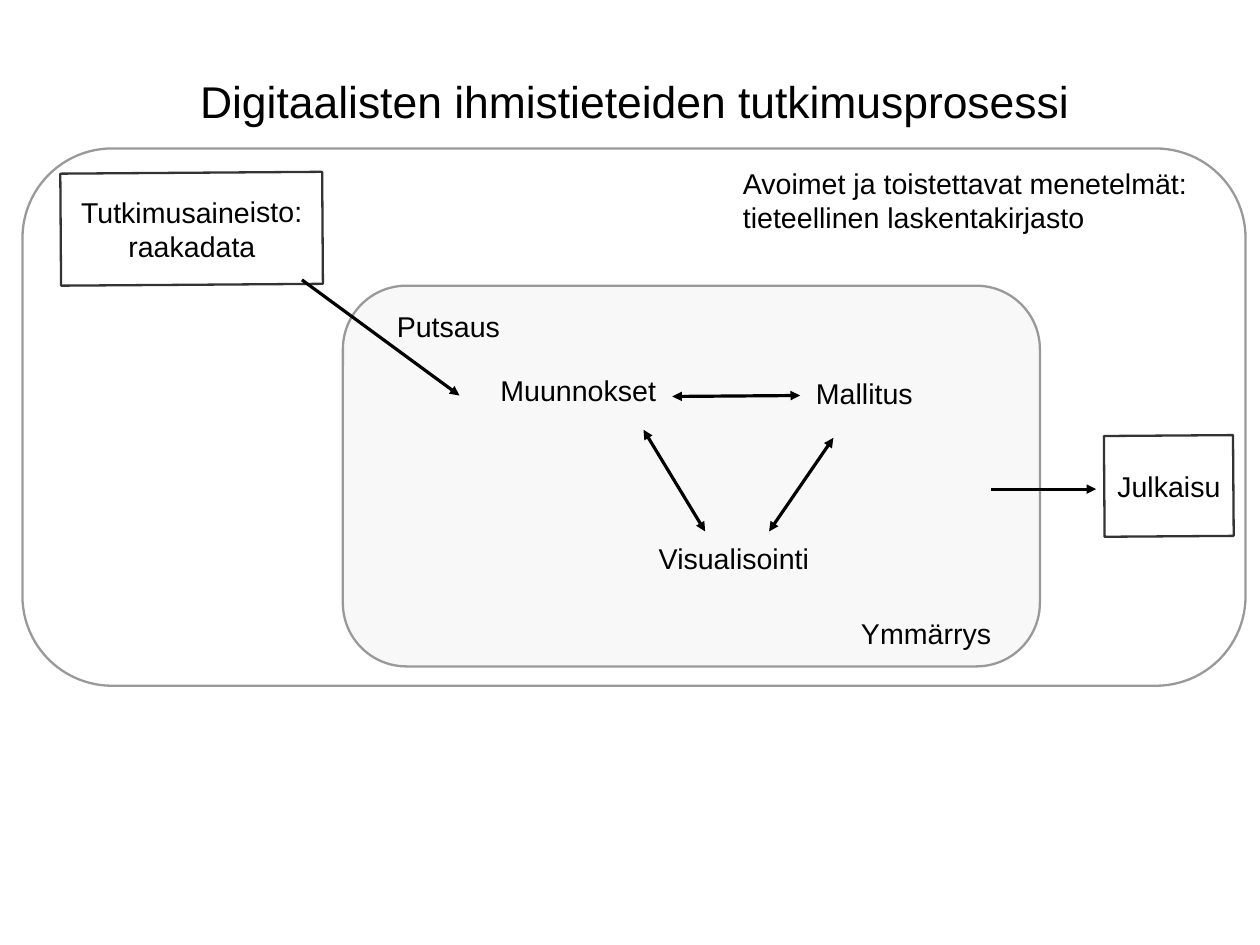
"""Build a slide on the research process of the digital humanities."""
from pptx import Presentation
from pptx import util as u
from pptx.dml.color import RGBColor
from pptx.enum import shapes, text
from pptx.oxml.ns import qn
from lxml import etree

BLACK = RGBColor(0, 0, 0)
DARK = RGBColor(0x33, 0x33, 0x33)
GREY = RGBColor(0x99, 0x99, 0x99)
PALE = RGBColor(0xDD, 0xDD, 0xDD)
WHITE = RGBColor(0xFF, 0xFF, 0xFF)
MID, LEFT = text.PP_ALIGN.CENTER, text.PP_ALIGN.LEFT


def write(shape, words, size=18, align=MID, inset=0):
    frame = shape.text_frame
    frame.text = words
    margin = u.Cm(inset)
    looks = {
        "margin_left": margin, "margin_right": margin,
        "margin_top": margin, "margin_bottom": margin,
        "word_wrap": True, "vertical_anchor": text.MSO_ANCHOR.MIDDLE,
        "auto_size": text.MSO_AUTO_SIZE.SHAPE_TO_FIT_TEXT,
    }
    for name, value in looks.items():
        setattr(frame, name, value)
    para = frame.paragraphs[0]
    para.alignment = align
    font = para.runs[0].font
    for name, value in {"name": "Arial", "size": u.Pt(size)}.items():
        setattr(font, name, value)
    font.color.rgb = BLACK


def outline(kind, place, color):
    shape = slide.shapes.add_shape(kind, *map(u.Cm, place))
    shape.shadow.inherit = False
    shape.line.color.rgb = color
    shape.line.width = u.Pt(1.45)
    return shape


deck = Presentation()
deck.slide_width, deck.slide_height = u.Cm(28), u.Cm(21)
slide = deck.slides.add_slide(deck.slide_layouts[5])

title = slide.shapes.title
place = {"left": 1.27, "top": 1.47, "width": 25.65, "height": 1.52}
for name, value in place.items():
    setattr(title, name, u.Cm(value))
write(title, "Digitaalisten ihmistieteiden tutkimusprosessi", 28)

panels = [
    ((0.5, 3.3, 27.18, 11.94), WHITE),
    ((7.62, 6.35, 15.49, 8.46), PALE),
]
for place, color in panels:
    panel = outline(shapes.MSO_SHAPE.ROUNDED_RECTANGLE, place, GREY)
    panel.adjustments[0] = 0.167
    panel.fill.solid()
    panel.fill.fore_color.rgb = color
    tint = panel.fill._xPr.find(qn("a:solidFill"))[0]
    etree.SubElement(tint, qn("a:alpha"), val="20000")

boxes = [
    ("Tutkimusaineisto: raakadata", (1.35, 3.84, 5.82, 2.49)),
    ("Julkaisu", (24.54, 9.68, 2.87, 2.24)),
]
for words, place in boxes:
    box = outline(shapes.MSO_SHAPE.RECTANGLE, place, DARK)
    box.fill.background()
    box.rotation = 359.6
    write(box, words, inset=0.03)

labels = [
    ("Putsaus", (8.53, 6.86, 2.87, 0.76), MID),
    ("Muunnokset", (11.07, 8.31, 3.56, 0.71), MID),
    ("Mallitus", (17.75, 8.38, 2.92, 0.71), MID),
    ("Visualisointi", (14.53, 12.04, 3.56, 0.71), MID),
    ("Ymmärrys", (18.8, 13.72, 3.56, 0.71), MID),
    ("Avoimet ja toistettavat menetelmät: tieteellinen laskentakirjasto",
     (16.51, 3.61, 10.06, 1.68), LEFT),
]
for words, place, align in labels:
    label = slide.shapes.add_textbox(*map(u.Cm, place))
    write(label, words, align=align)

arrows = [
    ((6.71, 6.22, 10.21, 8.79), ["tailEnd"]),
    ((17.09, 11.81, 18.52, 9.73), ["headEnd", "tailEnd"]),
    ((14.3, 9.55, 15.67, 11.81), ["headEnd", "tailEnd"]),
    ((14.94, 8.81, 17.78, 8.79), ["headEnd", "tailEnd"]),
    ((22.02, 10.87, 24.36, 10.87), ["tailEnd"]),
]
for ends, tips in arrows:
    arrow = slide.shapes.add_connector(
        shapes.MSO_CONNECTOR.STRAIGHT, *map(u.Cm, ends))
    arrow.line.color.rgb = BLACK
    arrow.line.width = u.Pt(0)
    for tip in tips:
        etree.SubElement(arrow.line._ln, qn("a:" + tip), type="triangle")
    etree.SubElement(arrow._element.spPr, qn("a:effectLst"))

deck.save("out.pptx")
